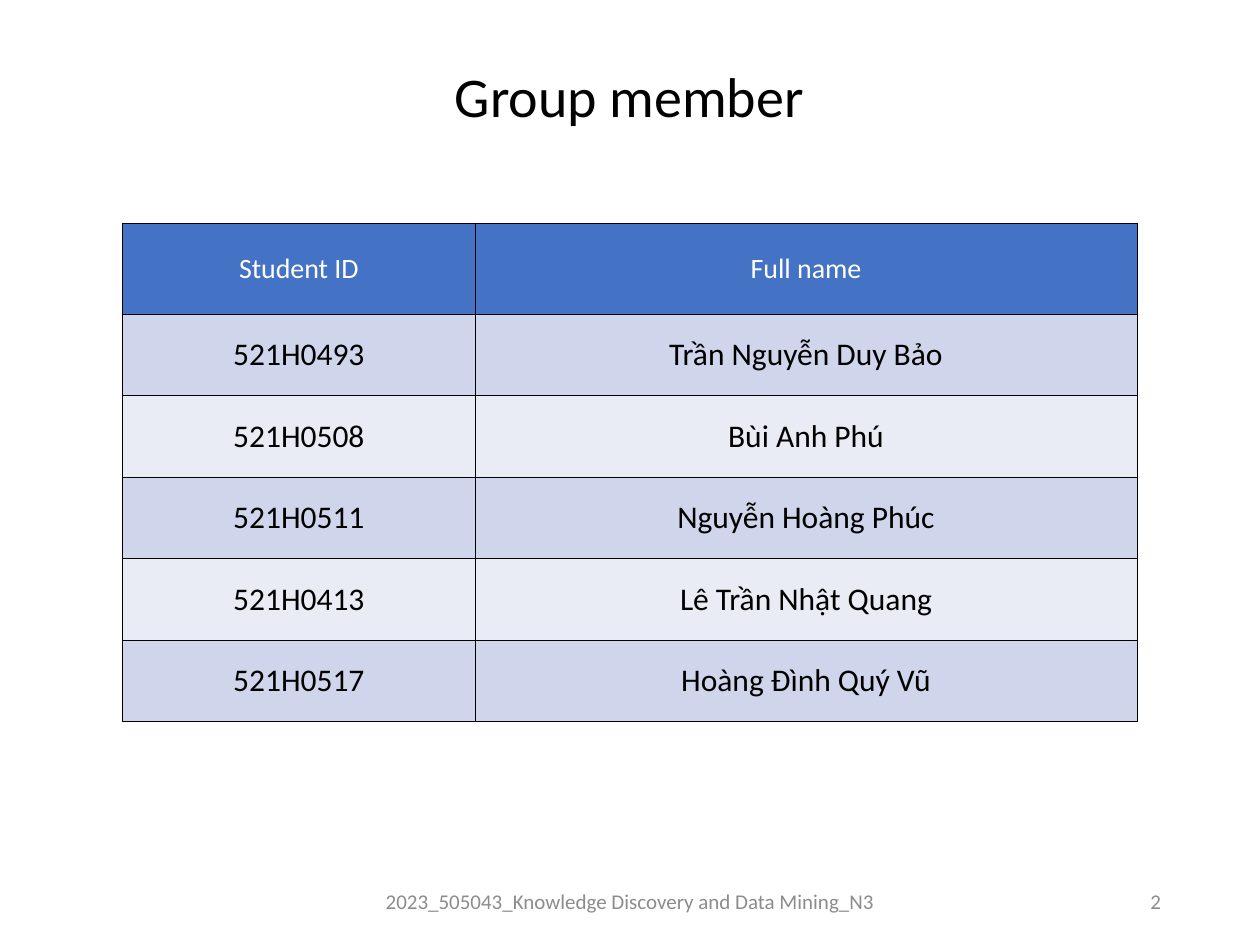
from lxml.etree import SubElement
from pptx import Presentation
from pptx.dml.color import RGBColor
from pptx.enum.text import MSO_ANCHOR, PP_ALIGN
from pptx.oxml.ns import qn
from pptx.util import Pt

HEADINGS = ("Student ID", "Full name")
MEMBERS = (
    ("521H0493", "Trần Nguyễn Duy Bảo"),
    ("521H0508", "Bùi Anh Phú"),
    ("521H0511", "Nguyễn Hoàng Phúc"),
    ("521H0413", "Lê Trần Nhật Quang"),
    ("521H0517", "Hoàng Đình Quý Vũ"),
)
HEADING_FILL = "4472C4"
BAND_FILLS = ("CFD5EA", "E9EBF5")
HEADING_HEIGHT = 52
ID_WIDTH = 201.6


def color(hex_value):
    return RGBColor.from_string(hex_value)


def write(frame, wording, size, ink, align=PP_ALIGN.CENTER):
    paragraph = frame.paragraphs[0]
    paragraph.alignment = align
    run = paragraph.add_run()
    run.text = wording
    run.font.color.rgb = color(ink)
    looks = {"name": "Calibri", "size": Pt(size), "bold": False}
    for key, value in looks.items():
        setattr(run.font, key, value)


def add_label(slide, box, wording, size, ink, align=PP_ALIGN.CENTER, anchor=MSO_ANCHOR.MIDDLE):
    frame = slide.shapes.add_textbox(*map(Pt, box)).text_frame
    for key, value in {"word_wrap": True, "vertical_anchor": anchor}.items():
        setattr(frame, key, value)
    write(frame, wording, size, ink, align)


def outline_cell(cell):
    properties = cell._tc.get_or_add_tcPr()
    for position, side in enumerate(("a:lnL", "a:lnR", "a:lnT", "a:lnB")):
        border = SubElement(properties, qn(side), w=str(Pt(0.25)))
        fill = SubElement(border, qn("a:solidFill"))
        SubElement(fill, qn("a:srgbClr"), val="000000")
        properties.insert(position, border)


def fill_cell(cell, wording, size, ink, background):
    cell.vertical_anchor = MSO_ANCHOR.MIDDLE
    cell.fill.solid()
    cell.fill.fore_color.rgb = color(background)
    outline_cell(cell)
    write(cell.text_frame, wording, size, ink)


def add_members(slide, box):
    left, top, width, height = box
    roster = (HEADINGS, *MEMBERS)
    table = slide.shapes.add_table(len(roster), len(HEADINGS), *map(Pt, box)).table
    for column, column_width in zip(table.columns, (ID_WIDTH, width - ID_WIDTH)):
        column.width = Pt(column_width)
    member_height = (height - HEADING_HEIGHT) / len(MEMBERS)
    for index, entry in enumerate(roster):
        table.rows[index].height = Pt(member_height if index else HEADING_HEIGHT)
        look = (18, "000000", BAND_FILLS[(index - 1) % 2]) if index else (16, "FFFFFF", HEADING_FILL)
        for position, wording in enumerate(entry):
            fill_cell(table.cell(index, position), wording, *look)


def add_footer(slide, box):
    left, top, width, height = box
    course_width, number_width = 318, 162
    course_left = left + (width - course_width) / 2
    add_label(slide, (course_left, top, course_width, height),
              "2023_505043_Knowledge Discovery and Data Mining_N3", 12, "8C8C8C")
    add_label(slide, (left + width - number_width, top, number_width, height),
              "2", 12, "8C8C8C", PP_ALIGN.RIGHT)


def main():
    deck = Presentation()
    deck.slide_width, deck.slide_height = Pt(720), Pt(540)
    slide = deck.slides.add_slide(deck.slide_layouts[6])
    add_label(slide, (217.5, 31.7, 284.4, 46), "Group member", 32, "000000", anchor=MSO_ANCHOR.TOP)
    add_members(slide, (70, 127.5, 579.6, 285))
    add_footer(slide, (49.5, 500.5, 621, 28.8))
    deck.save("out.pptx")


if __name__ == "__main__":
    main()
